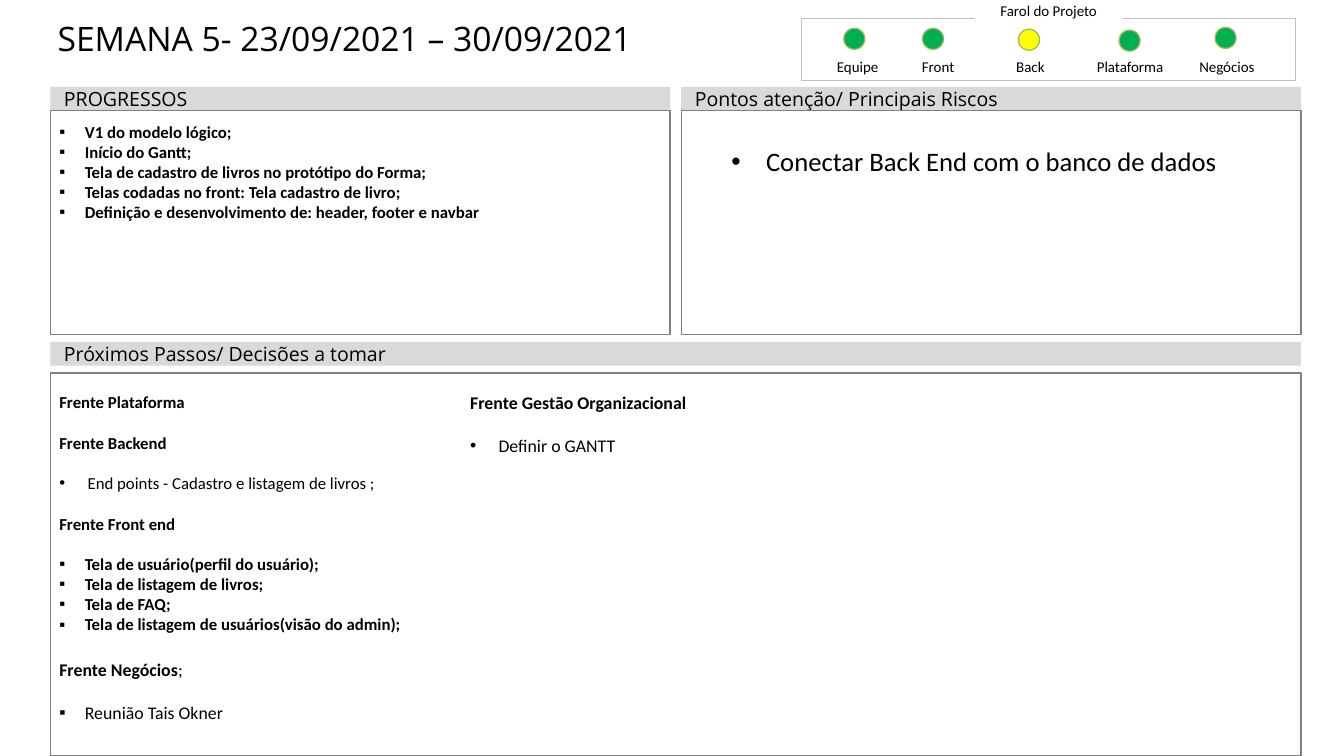
from pptx import Presentation
from pptx.dml.color import RGBColor
from pptx.enum.shapes import MSO_SHAPE as SHAPE
from pptx.enum.text import MSO_ANCHOR as ANCHOR, PP_ALIGN as ALIGN
from pptx.oxml.ns import qn
from pptx.util import Inches, Pt
from lxml import etree

COLORS = {"text": "000000", "bar": "D9D9D9", "frame": "808080",
          "panel": "BFBFBF", "white": "FFFFFF", "green": "00B050",
          "yellow": "FFFF00", "ring": "9BBB59"}
HEAD, BODY = "Open Sans", "Calibri"

# Grid: two equal columns between the side margins
SLIDE_W, SLIDE_H = 14.7, 8.27
LEFT, FULL, GAP = 0.55, 13.68, 0.12
COL = (FULL - GAP) / 2
RIGHT = LEFT + COL + GAP
BAR_H = 0.26
TOP_ROW, NEXT_ROW = 0.95, 3.74
TOP_FRAME, NEXT_FRAME = TOP_ROW + BAR_H, 4.08

# Bullets: sign and hanging indent
SQUARE, DOT, WIDE_DOT = ("▪", 0.28), ("•", 0.31), ("•", 0.38)

# Name, light colour, light left and top, label left
LIGHTS = [("Equipe", "green", 9.23, 0.31, 8.89),
          ("Front", "green", 10.09, 0.31, 9.77),
          ("Back", "yellow", 11.14, 0.32, 10.78),
          ("Plataforma", "green", 12.24, 0.33, 11.87),
          ("Negócios", "green", 13.29, 0.30, 12.93)]

PROGRESS = ["V1 do modelo lógico;",
            "Início do Gantt;",
            "Tela de cadastro de livros no protótipo do Forma;",
            "Telas codadas no front: Tela cadastro de livro;",
            "Definição e desenvolvimento de: header, footer e navbar"]

# Text, size, bold, bullet, space after
NEXT_STEPS = [
    ("Frente Plataforma", 13.2, True, None, 16),
    ("Frente Backend", 13.2, True, None, 16),
    ("End points - Cadastro e listagem de livros ;", 13.2, False, DOT, 16),
    ("Frente Front end", 13.2, True, None, 16),
    ("Tela de usuário(perfil do usuário);", 13.2, True, SQUARE, 0),
    ("Tela de listagem de livros;", 13.2, True, SQUARE, 0),
    ("Tela de FAQ;", 13.2, True, SQUARE, 0),
    ("Tela de listagem de usuários(visão do admin);", 13.2, True, SQUARE, 19),
    ("Frente Negócios", 14, True, None, 17),
    ("Reunião Tais Okner", 14, False, SQUARE, 17),
    ("Frente Gestão Organizacional", 14, True, None, 17),
    ("Definir o GANTT", 14, False, DOT, 0)]


def rgb(name):
    return RGBColor.from_string(COLORS[name])


def add_box(slide, at, fill=None, line=None, width=1, kind=SHAPE.RECTANGLE):
    sp = slide.shapes.add_shape(kind, *map(Inches, at))
    sp.shadow.inherit = False
    if fill:
        sp.fill.solid()
        sp.fill.fore_color.rgb = rgb(fill)
    else:
        sp.fill.background()
    if line:
        sp.line.color.rgb = rgb(line)
        sp.line.width = Pt(width)
    else:
        sp.line.fill.background()
    return sp


def add_text_box(slide, at):
    return slide.shapes.add_textbox(*map(Inches, at))


def set_frame(sp, insets, anchor=ANCHOR.TOP, wrap=True):
    tf = sp.text_frame
    tf.margin_left, tf.margin_top, tf.margin_right, tf.margin_bottom = map(Inches, insets)
    tf.vertical_anchor, tf.word_wrap = anchor, wrap
    return tf


def style_run(r, size, font=BODY, bold=False):
    r.font.size, r.font.name, r.font.bold = Pt(size), font, bold
    r.font.color.rgb = rgb("text")


def set_bullet(p, bullet):
    sign, indent = bullet
    pPr = p._p.get_or_add_pPr()
    pPr.set("marL", str(Inches(indent)))
    pPr.set("indent", str(-Inches(indent)))
    etree.SubElement(pPr, qn("a:buFont")).set("typeface", "Arial")
    etree.SubElement(pPr, qn("a:buChar")).set("char", sign)


def write(p, text, size, font=BODY, bold=False, bullet=None, after=0, align=ALIGN.LEFT):
    p.text = text
    p.alignment = align
    p.space_after = Pt(after)
    style_run(p.runs[0], size, font, bold)
    if bullet:
        set_bullet(p, bullet)


def write_list(tf, items):
    for i, (text, size, bold, bullet, after) in enumerate(items):
        p = tf.add_paragraph() if i else tf.paragraphs[0]
        write(p, text, size, bold=bold, bullet=bullet, after=after)


def add_bar(slide, text, left, top, width):
    sp = add_box(slide, (left, top, width, BAR_H), fill="bar")
    tf = set_frame(sp, (0.15, 0.07, 0.15, 0.07), ANCHOR.MIDDLE)
    write(tf.paragraphs[0], text, 15.4, HEAD)


def add_label(sp, text):
    tf = set_frame(sp, (0.06, 0.06, 0.06, 0), ANCHOR.BOTTOM, wrap=False)
    write(tf.paragraphs[0], text, 11.8, align=ALIGN.CENTER)


def add_status_panel(slide):
    add_box(slide, (8.77, 0.2, 5.4, 0.68), line="panel", width=0.5)
    add_label(add_box(slide, (10.66, -0.02, 1.62, 0.23), fill="white"), "Farol do Projeto")
    for name, color, left, top, label_left in LIGHTS:
        add_box(slide, (left, top, 0.23, 0.23), color, "ring", kind=SHAPE.OVAL)
        add_label(add_text_box(slide, (label_left, 0.63, 0.98, 0.2)), name)


def main():
    prs = Presentation()
    prs.slide_width, prs.slide_height = Inches(SLIDE_W), Inches(SLIDE_H)
    slide = prs.slides.add_slide(prs.slide_layouts[6])

    # Title and project status
    tf = set_frame(add_text_box(slide, (0.51, 0.2, 8.2, 0.7)), (0.12, 0, 0.12, 0))
    write(tf.paragraphs[0], "SEMANA 5- 23/09/2021 – 30/09/2021", 26.5, HEAD)
    add_status_panel(slide)

    # Section bars
    add_bar(slide, "PROGRESSOS", LEFT, TOP_ROW, COL)
    add_bar(slide, "Pontos atenção/ Principais Riscos", RIGHT, TOP_ROW, COL)
    add_bar(slide, "Próximos Passos/ Decisões a tomar", LEFT, NEXT_ROW, FULL)

    # Progress
    sp = add_box(slide, (LEFT, TOP_FRAME, COL, 2.45), line="frame")
    tf = set_frame(sp, (0.1, 0.12, 0.1, 0.05))
    write_list(tf, [(text, 13.2, True, SQUARE, 0) for text in PROGRESS])

    # Risks
    add_box(slide, (RIGHT, TOP_FRAME, COL, 2.45), line="frame")
    tf = set_frame(add_text_box(slide, (7.9, 1.54, 6.01, 0.45)), (0.1, 0.05, 0.1, 0.05))
    write_list(tf, [("Conectar Back End com o banco de dados", 21, False, WIDE_DOT, 0)])

    # Next steps, flowing over three text columns
    sp = add_box(slide, (LEFT, NEXT_FRAME, FULL, SLIDE_H - NEXT_FRAME), line="frame")
    tf = set_frame(sp, (0.1, 0.21, 0.1, 0.05))
    tf._txBody.bodyPr.set("numCol", "3")
    write_list(tf, NEXT_STEPS)
    business = next(p for p in tf.paragraphs if p.text == "Frente Negócios")
    r = business.add_run()
    r.text = ";"
    style_run(r, 14)

    prs.save("out.pptx")


main()
